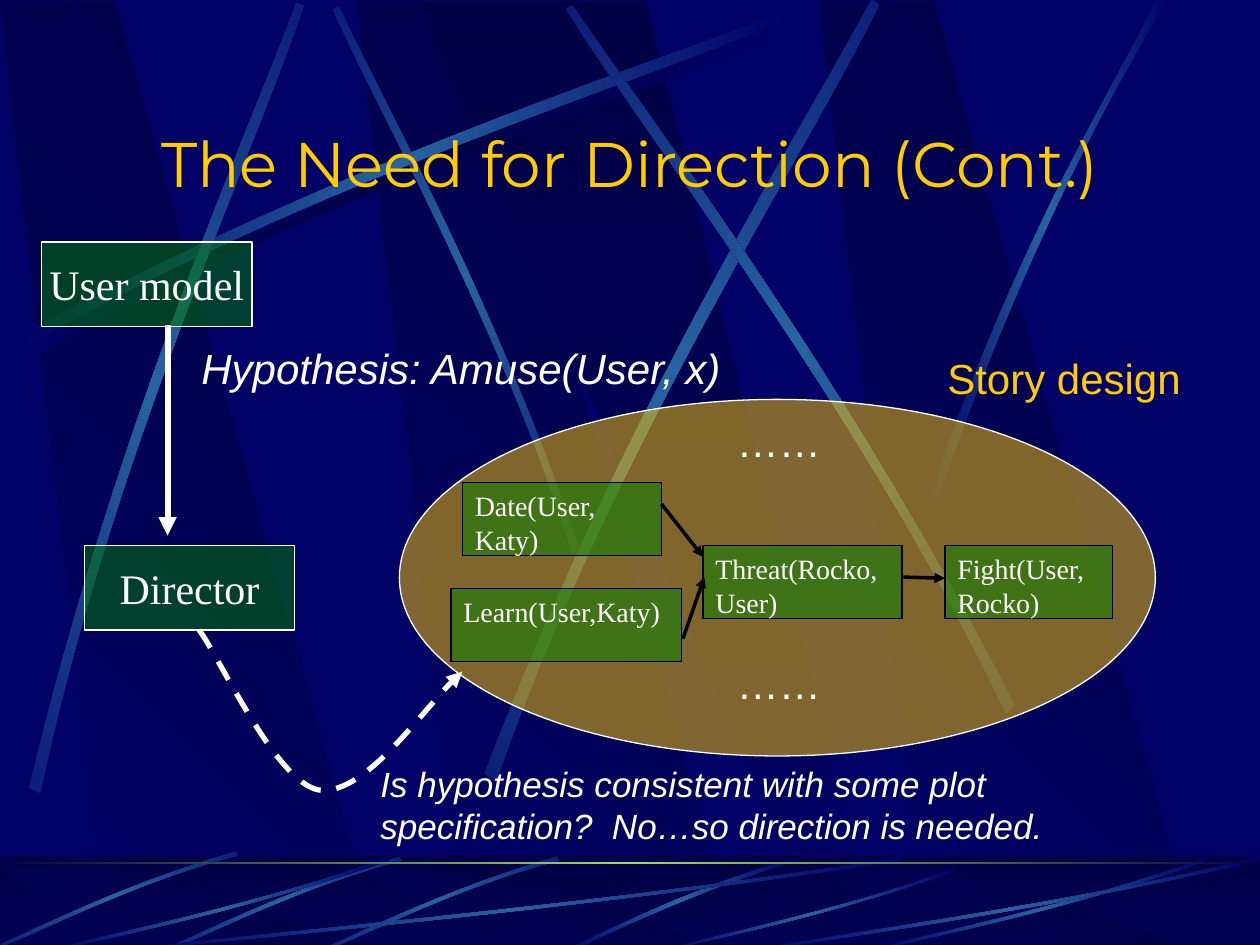
from dataclasses import dataclass
from math import cos, radians, sin
from typing import NamedTuple

from lxml import etree
from pptx import Presentation
from pptx.dml.color import RGBColor
from pptx.enum.dml import MSO_LINE
from pptx.enum.shapes import MSO_CONNECTOR, MSO_SHAPE
from pptx.enum.text import MSO_ANCHOR, PP_ALIGN
from pptx.oxml.ns import qn
from pptx.util import Cm, Pt

RECTANGLE, OVAL = MSO_SHAPE.RECTANGLE, MSO_SHAPE.OVAL
STRAIGHT, DASH = MSO_CONNECTOR.STRAIGHT, MSO_LINE.DASH
TOP, MIDDLE = MSO_ANCHOR.TOP, MSO_ANCHOR.MIDDLE
LEFT, CENTER = PP_ALIGN.LEFT, PP_ALIGN.CENTER
UNIT_CM = 2.54  # layout unit: the page is 10 by 7.5 units
FIRST_MASTER_ID = 100


@dataclass(frozen=True)
class Theme:
    page: str = "000066"
    dark: str = "000044"
    beam: str = "2663A0"
    glow: str = "9CE157"
    gold: str = "FFCC00"
    green: str = "008000"
    white: str = "FFFFFF"
    black: str = "000000"
    title_font: str = "Montserrat"
    label_font: str = "Arial"
    box_font: str = "Times New Roman"
    title_size: int = 36
    large: int = 24
    medium: int = 20
    small: int = 16


THEME = Theme()
SHADE = (THEME.dark, THEME.page)
BEAM = (THEME.page, THEME.beam, THEME.page)
BEAM_SHADOW = (THEME.page, THEME.dark, THEME.page)


class Area(NamedTuple):
    left: float
    top: float
    width: float
    height: float


class Style(NamedTuple):
    font: str
    size: int
    color: str = THEME.white
    italic: bool = False
    align: PP_ALIGN = LEFT
    anchor: MSO_ANCHOR = TOP
    wrap: bool = True


class Ray(NamedTuple):
    """Two curved edges of four points each, turned about a pivot."""
    first: tuple
    second: tuple
    pivot: tuple = (0, 0)
    turn: float = 0


LABEL = Style(THEME.label_font, THEME.large)
ACTOR = Style(THEME.box_font, THEME.large, align=CENTER, anchor=MIDDLE, wrap=False)
EVENT = Style(THEME.box_font, THEME.small)

LONG_RAY = Ray(((.14, 2.67), (2.78, 1.25), (5.18, .51), (6.2, .1)),
               ((6.23, .16), (5.22, .61), (2.48, 1.43), (.17, 2.77)))
RAYS = [
    Ray(((4.6, 4.36), (3.91, 2.34), (3.02, .77), (2.69, .05)),
        ((2.64, .07), (2.95, .79), (3.98, 2.58), (4.54, 4.39)), (3.62, 2.22), 45),
    LONG_RAY,
    Ray(((.23, 6.25), (.93, 3.34), (1.97, 1.05), (2.35, .02)),
        ((2.41, .04), (2.07, 1.08), (.86, 3.68), (.32, 6.29)), (1.33, 3.16), 311.7),
    Ray(((3.85, 6.14), (4.98, 3.2), (6.38, 1.02), (6.92, 0)),
        ((6.98, .04), (6.49, 1.08), (4.86, 3.55), (3.94, 6.21)), (5.43, 3.1), 321.6),
    Ray(((8.06, 5.6), (6.7, 2.93), (5.16, .95), (4.55, .04)),
        ((4.5, .07), (5.07, 1.01), (6.85, 3.25), (7.99, 5.66)), (6.27, 2.86), 34.8),
    Ray(((7.38, 3.93), (8.14, 1.73), (8.88, .66), (9.17, 0)),
        ((9.27, 0), (8.36, 1.45), (7.69, 3.22), (7.44, 3.97))),
]
FLOOR_RAY = Ray(((6.27, 6.82), (5.37, 7.09), (4.77, 7.42), (4.48, 7.54)),
                ((4.53, 7.55), (4.9, 7.37), (5.71, 7), (6.28, 6.85)))
TURNED_FLOOR_RAY = Ray(((4.42, 6.8), (3.55, 7.05), (2.87, 7.4), (2.56, 7.53)),
                       ((2.57, 7.55), (2.88, 7.43), (3.65, 7.03), (4.44, 6.83)),
                       (3.5, 7.18), 314.9)
STREAKS = [Area(1, 6.8, 6.17, .75), Area(.42, 6.8, 2.67, .75), Area(5.27, 6.89, 2.31, .66),
           Area(6.92, 6.8, 2.67, .75), Area(6, 6.8, 4, .75)]


def length(units: float) -> int:
    return Cm(units * UNIT_CM)


def moved(points, dx: float, dy: float = 0) -> tuple:
    return tuple((x + dx, y + dy) for x, y in points)


def shifted(ray: Ray, dx: float, dy: float = 0) -> Ray:
    return Ray(moved(ray.first, dx, dy), moved(ray.second, dx, dy),
               moved([ray.pivot], dx, dy)[0], ray.turn)


def fill_solid(shape, color: str, opacity: int = 100) -> None:
    shape.fill.solid()
    shape.fill.fore_color.rgb = RGBColor.from_string(color)
    if opacity < 100:
        color_node = shape._element.spPr.find(qn("a:solidFill"))[0]
        etree.SubElement(color_node, qn("a:alpha"), val=str(opacity * 1000))


def fill_gradient(shape, colors: tuple, angle: int) -> None:
    """Evenly spaced colours along a clockwise angle."""
    shape.fill.gradient()
    shape.fill.gradient_angle = 360 - angle
    stops = shape._element.spPr.find(qn("a:gradFill")).find(qn("a:gsLst"))
    for stop in list(stops):
        stops.remove(stop)
    for index, color in enumerate(colors):
        position = 100000 * index // (len(colors) - 1)
        stop = etree.SubElement(stops, qn("a:gs"), pos=str(position))
        etree.SubElement(stop, qn("a:srgbClr"), val=color)


def set_line(shape, color: str, width: float, arrow: bool = False) -> None:
    shape.line.color.rgb = RGBColor.from_string(color)
    shape.line.width = Pt(width)
    if arrow:
        etree.SubElement(shape.line._get_or_add_ln(), qn("a:tailEnd"), type="triangle")


def add_outline(page, points, close: bool = True, curves: tuple = ()):
    """Draw an outline; each index in curves starts three points that form one Bezier curve."""
    places = [(length(x), length(y)) for x, y in points]
    builder = page.shapes.build_freeform(*places[0], scale=1.0)
    builder.add_line_segments(places[1:], close=close)
    shape = builder.convert_to_shape()
    shape.shadow.inherit = False
    shape.line.fill.background()
    steps = list(next(shape._element.iter(qn("a:path"))))
    for index in curves:
        bend = etree.Element(qn("a:cubicBezTo"))
        steps[index].addprevious(bend)
        for step in steps[index:index + 3]:
            bend.append(step[0])
            step.getparent().remove(step)
    return shape


def add_ray(page, ray: Ray, colors: tuple = BEAM) -> None:
    """Lay the ray flat about its pivot, then turn the shape, so its gradient turns too."""
    px, py = ray.pivot
    c, s = cos(radians(-ray.turn)), sin(radians(-ray.turn))
    points = [(px + (x - px) * c - (y - py) * s, py + (x - px) * s + (y - py) * c)
              for x, y in ray.first + ray.second]
    shape = add_outline(page, points, curves=(1, 5))
    fill_gradient(shape, colors, 180)
    shape.rotation = ray.turn


def add_streak(page, area: Area) -> None:
    def place(points):
        return tuple((area.left + x * area.width, area.top + y * area.height) for x, y in points)
    add_ray(page, Ray(place(((1, .04), (.57, .57), (.17, .85), (0, 1))),
                      place(((0, .98), (.17, .81), (.62, .5), (1, 0)))))


def add_panels(page, top: float, bottom: float) -> None:
    slanted = ((.86, bottom), (3.02, bottom), (.91, top), (0, top))
    for left in (2.83, 0, 6.5):
        fill_gradient(add_outline(page, moved(slanted, left)), SHADE, 135)
    wedge = ((3.33, top), (6.58, bottom), (6.94, bottom), (5.13, top))
    fill_gradient(add_outline(page, wedge), SHADE, 90)


def add_shape(page, kind, area: Area):
    shape = page.shapes.add_shape(kind, *map(length, area))
    shape.shadow.inherit = False
    shape.line.fill.background()
    return shape


def write(shape, text: str, style: Style) -> None:
    frame = shape.text_frame
    frame.text = text
    frame.word_wrap = style.wrap
    frame.vertical_anchor = style.anchor
    para = frame.paragraphs[0]
    para.alignment = style.align
    font = para.runs[0].font
    font.name, font.size, font.italic = style.font, Pt(style.size), style.italic
    font.color.rgb = RGBColor.from_string(style.color)


def add_text(page, area: Area, text: str, style: Style) -> None:
    write(page.shapes.add_textbox(*map(length, area)), text, style)


def add_box(page, area: Area, text: str, style: Style, border: str) -> None:
    box = add_shape(page, RECTANGLE, area)
    fill_solid(box, THEME.green, 50)
    set_line(box, border, .75)
    write(box, text, style)


def add_arrow(page, start: tuple, end: tuple, color: str, width: float) -> None:
    arrow = page.shapes.add_connector(STRAIGHT, *map(length, start + end))
    set_line(arrow, color, width, arrow=True)
    etree.SubElement(arrow._element.spPr, qn("a:effectLst"))


def draw_backdrop(page) -> None:
    add_panels(page, 0.01, 7.52)
    add_ray(page, shifted(LONG_RAY, .06, .08), BEAM_SHADOW)
    for ray in RAYS:
        add_ray(page, ray)
    fill_gradient(add_shape(page, RECTANGLE, Area(0, 6.8, 10, .75)), SHADE, 90)
    add_panels(page, 6.88, 7.54)
    fill_solid(add_shape(page, RECTANGLE, Area(0, 6.79, 10, .75)), THEME.dark, 50)
    add_ray(page, FLOOR_RAY)
    for dx, dy in ((0, 0), (-1.25, 0), (-2.55, -.04)):
        add_ray(page, shifted(TURNED_FLOOR_RAY, dx, dy))
    for area in STREAKS:
        add_streak(page, area)
    horizon = add_shape(page, RECTANGLE, Area(0, 6.84, 10, .02))
    fill_gradient(horizon, (THEME.dark, THEME.glow, THEME.dark), 180)


def move_to_master(page, master) -> None:
    """Hand the shapes drawn so far to the master, as the backdrop of every page."""
    master.background.fill.solid()
    master.background.fill.fore_color.rgb = RGBColor.from_string(THEME.page)
    for number, shape in enumerate(list(page.shapes), FIRST_MASTER_ID):
        shape._element.nvSpPr.cNvPr.set("id", str(number))
        master.shapes._spTree.append(shape._element)


def draw_direction(page) -> None:
    add_text(page, Area(.75, .94, 8.5, .7), "The Need for Direction (Cont.)",
             Style(THEME.title_font, THEME.title_size, THEME.gold, align=CENTER, anchor=MIDDLE))
    add_box(page, Area(.33, 1.92, 1.67, .67), "User model", ACTOR, THEME.white)
    add_box(page, Area(.67, 4.33, 1.67, .67), "Director", ACTOR, THEME.white)
    add_arrow(page, (1.33, 2.58), (1.33, 4.25), THEME.white, 3.5)
    swoop = ((1.58, 5), (1.74, 5.21), (2.19, 6.21), (2.53, 6.27),
             (2.88, 6.32), (3.43, 5.53), (3.67, 5.33))
    link = add_outline(page, swoop, close=False, curves=(1, 4))
    link.fill.background()
    link.line.color.rgb = RGBColor.from_string(THEME.white)
    link.line.dash_style = DASH
    set_line(link, THEME.white, 3, arrow=True)
    add_text(page, Area(1.5, 2.67, 4.58, .5), "Hypothesis: Amuse(User, x)", LABEL._replace(italic=True))
    add_text(page, Area(2.92, 6, 5.92, .77),
             "Is hypothesis consistent with some plot specification?  No…so direction is needed.",
             LABEL._replace(size=THEME.medium, italic=True))


def draw_story(page) -> None:
    story = add_shape(page, OVAL, Area(3.17, 3.17, 6, 2.83))
    fill_solid(story, THEME.gold, 50)
    set_line(story, THEME.white, .75)
    for left, top, width, text in ((3.58, 4.67, 1.83, "Learn(User,Katy)"),
                                   (5.58, 4.33, 1.58, "Threat(Rocko, User)"),
                                   (7.5, 4.33, 1.33, "Fight(User, Rocko)"),
                                   (3.67, 3.83, 1.58, "Date(User, Katy)")):
        add_box(page, Area(left, top, width, .58), text, EVENT, THEME.black)
    for start, end in (((5.42, 5.07), (5.59, 4.58)), ((7.17, 4.58), (7.5, 4.59)),
                       ((5.25, 4), (5.58, 4.42))):
        add_arrow(page, start, end, THEME.black, 2)
    for top in (3.25, 5.17):
        add_text(page, Area(5.75, top, 1, .5), "……", LABEL)
    add_text(page, Area(7.42, 2.75, 2.17, .5), "Story design", LABEL._replace(color=THEME.gold))


def main() -> None:
    deck = Presentation()
    deck.slide_width, deck.slide_height = length(10), length(7.5)
    page = deck.slides.add_slide(deck.slide_layouts[6])
    draw_backdrop(page)
    move_to_master(page, deck.slide_master)
    draw_direction(page)
    draw_story(page)
    deck.save("out.pptx")


if __name__ == "__main__":
    main()
